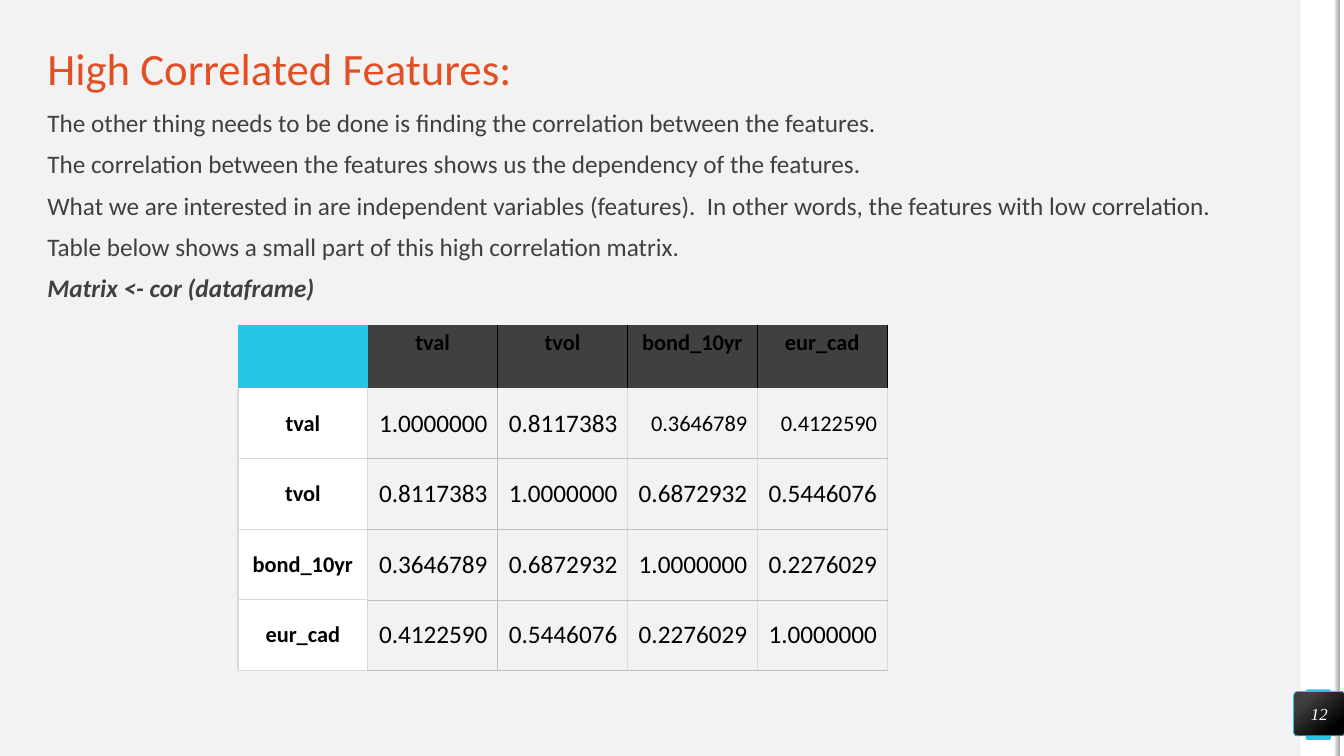
from lxml.etree import SubElement
from pptx import Presentation
from pptx.dml.color import RGBColor
from pptx.enum.shapes import MSO_SHAPE
from pptx.enum.text import MSO_ANCHOR, PP_ALIGN
from pptx.oxml.ns import qn
from pptx.util import Inches, Pt

COLORS = {
    "back": "F2F2F2", "white": "FFFFFF", "black": "000000",
    "title": "E34F25", "dark": "404040", "cyan": "25C6E3",
    "pale": "D9D9D9", "gray": "BFBFBF", "shade": "A6A6A6",
}
LINES = [
    "The other thing needs to be done is finding the correlation between the features.",
    "The correlation between the features shows us the dependency of the features.",
    "What we are interested in are independent variables (features).  "
    "In other words, the features with low correlation.",
    "Table below shows a small part of this high correlation matrix.",
]
NAMES = ["tval", "tvol", "bond_10yr", "eur_cad"]
VALUES = [
    ["1.0000000", "0.8117383", "0.3646789", "0.4122590"],
    ["0.8117383", "1.0000000", "0.6872932", "0.5446076"],
    ["0.3646789", "0.6872932", "1.0000000", "0.2276029"],
    ["0.4122590", "0.5446076", "0.2276029", "1.0000000"],
]


def tint(name):
    """Return the named colour."""
    return RGBColor.from_string(COLORS[name])


def write(frame, text, size=18, color="dark", font="Calibri", bold=False,
          italic=False, align=PP_ALIGN.LEFT, space=None, before=None, more=False):
    """Write one paragraph into a text frame."""
    para = frame.add_paragraph() if more else frame.paragraphs[0]
    para.alignment = align
    para.line_spacing = space
    para.space_before = before
    run = para.add_run()
    run.text = text
    face = run.font
    face.name, face.size, face.bold, face.italic = font, Pt(size), bold, italic
    face.color.rgb = tint(color)


def trim(frame):
    """Wrap the text and remove the margins."""
    frame.word_wrap = True
    frame.margin_left = frame.margin_right = 0
    frame.margin_top = frame.margin_bottom = 0


def box(slide, left, top, width, height):
    """Add a text box without margins and return its frame."""
    frame = slide.shapes.add_textbox(
        Inches(left), Inches(top), Inches(width), Inches(height)).text_frame
    trim(frame)
    return frame


def block(slide, left, top, width, height, fill="white", stops=None, angle=0,
          turn=0, curve=None):
    """Add a plain or shaded block, with round corners if curve is given."""
    kind = MSO_SHAPE.RECTANGLE if curve is None else MSO_SHAPE.ROUNDED_RECTANGLE
    shape = slide.shapes.add_shape(
        kind, Inches(left), Inches(top), Inches(width), Inches(height))
    shape.shadow.inherit = False
    shape.line.fill.background()
    shape.rotation = turn
    if curve is not None:
        shape.adjustments[0] = curve
    if stops:
        shape.fill.gradient()
        shape.fill.gradient_angle = angle
        for stop, (place, name) in zip(shape.fill.gradient_stops, stops):
            stop.position = place
            stop.color.rgb = tint(name)
    else:
        shape.fill.solid()
        shape.fill.fore_color.rgb = tint(fill)
    return shape


def side(slide, left, top, width, height):
    """Draw the white band at the right edge and its shaded rim."""
    block(slide, left, top, width, height)
    block(slide, left + 0.05, top + 6.84, 0.25, 0.5, fill="cyan", curve=0.074)
    block(slide, left - 3.34, top + 3.73, height, 0.05, turn=90)
    block(slide, left - 3.39, top + 3.73, height, 0.05, turn=90,
          stops=[(0, "back"), (1, "shade")], angle=90)


def badge(slide, left, top, width, height):
    """Draw the page number badge."""
    shape = block(slide, left, top, width, height, curve=0.095,
                  stops=[(0.2, "dark"), (0.82, "black")], angle=310)
    shape.line.color.rgb = tint("cyan")
    shape.line.width = Pt(0.5)
    trim(shape.text_frame)
    shape.text_frame.vertical_anchor = MSO_ANCHOR.MIDDLE
    write(shape.text_frame, "12", size=12, color="white", font="Times New Roman",
          italic=True, align=PP_ALIGN.CENTER)


def prose(slide, left, top, width):
    """Write the heading and the lines below it."""
    head = box(slide, left, top, width, 0.47)
    head.vertical_anchor = MSO_ANCHOR.MIDDLE
    write(head, "High Correlated Features:", size=32, color="title", space=0.9)
    body = box(slide, left, top + 0.63, width, 0.39)
    for index, line in enumerate(LINES):
        write(body, line, space=0.9, before=Pt(10), more=index > 0)
    write(body, "Matrix <- cor (dataframe)", bold=True, italic=True,
          space=0.9, before=Pt(10), more=True)


def edge(cell, **sides):
    """Set the four cell borders; a side not given gets no line."""
    props = cell._tc.get_or_add_tcPr()
    for index, key in enumerate("LRTB"):
        line = SubElement(props, qn("a:ln" + key))
        props.insert(index, line)
        if key in sides:
            name, width = sides[key]
            line.set("w", str(Pt(width)))
            fill = SubElement(line, qn("a:solidFill"))
            SubElement(fill, qn("a:srgbClr")).set("val", COLORS[name])
        else:
            SubElement(line, qn("a:noFill"))


def rules(row, col):
    """Return the borders that a cell has."""
    pale, thin, black = ("pale", 1), ("gray", 0.25), ("black", 1)
    if row == 0:
        sides = {"R": black} if col else {}
        return {**sides, "L": black} if col > 1 else sides
    flat = thin if col else pale
    sides = {"L": thin if col == 2 else pale, "R": thin if col == 1 else pale,
             "B": flat}
    return {**sides, "T": flat} if row > 1 else sides


def matrix(slide, left, top, width, height):
    """Draw the correlation table."""
    grid = [[""] + NAMES] + [[name] + row for name, row in zip(NAMES, VALUES)]
    count, first = len(grid), 0.63
    table = slide.shapes.add_table(
        count, count, Inches(left), Inches(top), Inches(width), Inches(height)).table
    for index in range(count):
        table.columns[index].width = Inches(width / count)
        table.rows[index].height = Inches(
            (height - first) / (count - 1) if index else first)
    for row, texts in enumerate(grid):
        for col, text in enumerate(texts):
            cell = table.cell(row, col)
            label = row == 0 or col == 0
            if label:
                cell.fill.solid()
                cell.fill.fore_color.rgb = tint(
                    "white" if row else "dark" if col else "cyan")
            else:
                cell.fill.background()
            edge(cell, **rules(row, col))
            if row:
                cell.vertical_anchor = MSO_ANCHOR.MIDDLE
            if text:
                small = label or (row == 1 and col > 2)
                write(cell.text_frame, text, size=16 if small else 18,
                      color="black", bold=label,
                      align=PP_ALIGN.CENTER if label else PP_ALIGN.RIGHT)


def main():
    """Build and save the slide."""
    deck = Presentation()
    deck.slide_width, deck.slide_height = Inches(13.33), Inches(7.5)
    slide = deck.slides.add_slide(deck.slide_layouts[6])
    slide.background.fill.solid()
    slide.background.fill.fore_color.rgb = tint("back")
    side(slide, 12.9, 0, 0.39, 7.5)
    prose(slide, 0.47, 0.47, 12.4)
    badge(slide, 12.83, 6.86, 0.51, 0.44)
    matrix(slide, 2.36, 3.22, 6.44, 3.43)
    deck.save("out.pptx")


if __name__ == "__main__":
    main()
